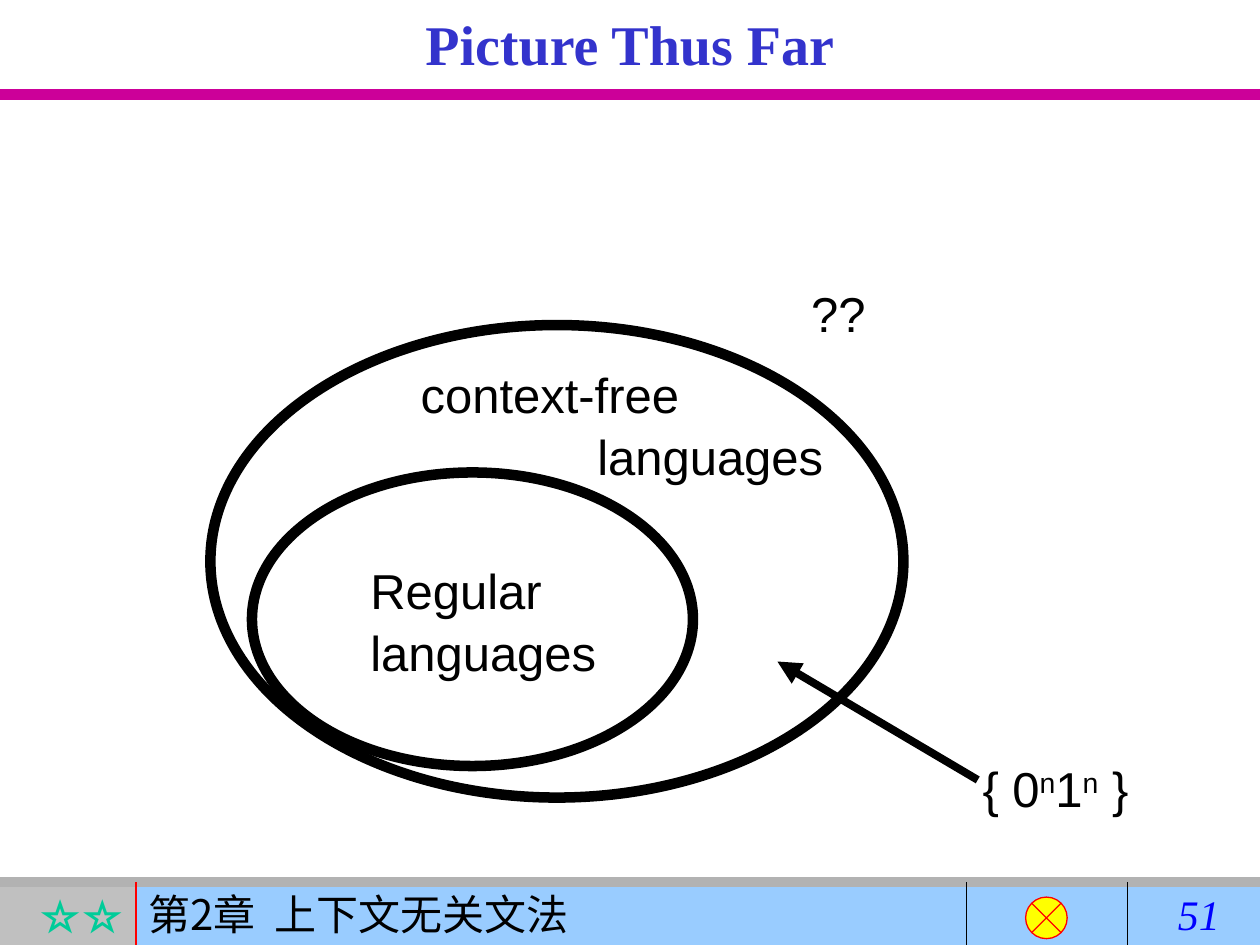
from lxml import etree
from pptx import Presentation
from pptx.dml.color import RGBColor
from pptx.enum.shapes import MSO_CONNECTOR, MSO_SHAPE
from pptx.enum.text import MSO_ANCHOR, PP_ALIGN
from pptx.oxml.ns import qn
from pptx.util import Inches, Pt

STRAIGHT = MSO_CONNECTOR.STRAIGHT
RECT, OVAL = MSO_SHAPE.RECTANGLE, MSO_SHAPE.OVAL
JUNCTION = MSO_SHAPE.FLOWCHART_SUMMING_JUNCTION
LEFT, CENTER, RIGHT = PP_ALIGN.LEFT, PP_ALIGN.CENTER, PP_ALIGN.RIGHT
TOP, MIDDLE = MSO_ANCHOR.TOP, MSO_ANCHOR.MIDDLE

COLORS = {
    "black": "000000", "white": "FFFFFF", "title": "3333CC",
    "rule": "CC0099", "footer_rule": "B2B2B2", "grey": "C0C0C0",
    "sky": "99CCFF", "star": "00CC99", "red": "FF0000",
    "yellow": "FFFF00", "number": "0000FF",
}
SERIF, SANS, CHINESE = "Times New Roman", "Arial", "Noto Sans CJK SC"


def color(name):
    return RGBColor.from_string(COLORS[name])


def add_line(page, start, end, name, weight, arrow=False):
    points = [Inches(value) for value in (*start, *end)]
    line = page.shapes.add_connector(STRAIGHT, *points)
    line.line.color.rgb = color(name)
    line.line.width = Pt(weight)
    if arrow:
        head = etree.SubElement(line.line._get_or_add_ln(), qn("a:headEnd"))
        head.set("type", "triangle")
    etree.SubElement(line._element.spPr, qn("a:effectLst"))


def add_figure(page, kind, box, fill=None, outline=None, weight=0.75):
    figure = page.shapes.add_shape(kind, *[Inches(value) for value in box])
    figure.shadow.inherit = False
    if fill:
        figure.fill.solid()
        figure.fill.fore_color.rgb = color(fill)
    else:
        figure.fill.background()
    if outline:
        figure.line.color.rgb = color(outline)
        figure.line.width = Pt(weight)
    else:
        figure.line.fill.background()
    return figure


def add_text_box(page, box):
    return page.shapes.add_textbox(*[Inches(value) for value in box])


def add_span(para, text, font, size, name, bold=False, italic=False):
    span = para.add_run()
    span.text = text
    span.font.name = font
    span.font.size = Pt(size)
    span.font.bold = bold
    span.font.italic = italic
    span.font.color.rgb = color(name)
    props = span.font._element
    etree.SubElement(props, qn("a:ea")).set("typeface", font)
    return props


def first_para(shape, align=LEFT, anchor=MIDDLE, wrap=True):
    frame = shape.text_frame
    frame.word_wrap = wrap
    frame.vertical_anchor = anchor
    para = frame.paragraphs[0]
    para.alignment = align
    return para


def add_label(page, box, lines, wrap=False):
    """Each line is an alignment and a list of (text, baseline) spans."""
    label = add_text_box(page, box)
    para = first_para(label, anchor=TOP, wrap=wrap)
    for index, (align, spans) in enumerate(lines):
        if index:
            para = label.text_frame.add_paragraph()
        para.alignment = align
        para.line_spacing = 1.05
        for text, baseline in spans:
            props = add_span(para, text, SANS, 28, "black")
            if baseline:
                props.set("baseline", str(baseline * 1000))


def add_header(page, left, top, width, height):
    add_line(page, (left, top + height), (left + width, top + height), "rule", 6)
    title = add_figure(page, RECT, (left + 0.5, top, width - 1, 0.68), "white")
    add_span(first_para(title, CENTER), "Picture Thus Far", SERIF, 32, "title", bold=True)


def add_footer(page, left, top, width, height):
    split = 1.08
    # Stars and chapter name
    stars = add_figure(page, RECT, (left, top, split, height), "grey")
    add_span(first_para(stars, RIGHT), "☆☆", SERIF, 24, "star", bold=True)
    chapter = add_figure(page, RECT, (left + split, top, width - split, height), "sky")
    para = first_para(chapter)
    add_span(para, "第2章", CHINESE, 24, "black")
    add_span(para, " ", CHINESE, 24, "black").set("spc", "540")
    add_span(para, "上下文无关文法", CHINESE, 24, "black")
    # Rules
    add_line(page, (left, top), (left + width, top), "footer_rule", 6)
    for offset, name in ((split, "red"), (7.67, "black"), (8.95, "black")):
        x = left + offset
        add_line(page, (x, top), (x, top + height), name, 0.75)
    # Marker and page number
    add_figure(page, JUNCTION, (left + 8.14, top + 0.12, 0.33, 0.33), "yellow", "red")
    number = add_text_box(page, (left + 9.25, top, 0.75, height))
    add_span(first_para(number), "51", SERIF, 24, "number", italic=True)


def add_language_diagram(page, left, top, width, height):
    # Nested language classes
    add_figure(page, OVAL, (left + 0.33, top + 1.17, 3.5, 2.33), outline="black", weight=6)
    add_figure(page, OVAL, (left, top, width, height), outline="black", weight=6)
    add_label(page, (left + 1.17, top + 1.8, 1.99, 1.04),
              [(LEFT, [("Regular", 0)]), (LEFT, [("languages", 0)])])
    add_label(page, (left + 1.57, top + 0.24, 3.39, 1.04),
              [(LEFT, [("context-free", 0)]), (RIGHT, [("languages", 0)])], wrap=True)
    add_label(page, (left + 4.67, top - 0.4, 0.63, 0.57), [(LEFT, [("??", 0)])])
    # Example language
    add_line(page, (left + 4.5, top + 2.67), (left + 6.09, top + 3.61), "black", 4.5, arrow=True)
    add_label(page, (left + 6.03, top + 3.37, 1.36, 0.57),
              [(LEFT, [("{ 0", 0), ("n", 30), ("1", 0), ("n", 30), (" }", 0)])])


def main():
    deck = Presentation()
    deck.slide_width, deck.slide_height = Inches(10), Inches(7.5)
    page = deck.slides.add_slide(deck.slide_layouts[6])
    add_footer(page, 0, 7, 10, 0.5)
    add_header(page, 0, 0, 10, 0.75)
    add_language_diagram(page, 1.67, 2.58, 5.5, 3.75)
    deck.save("out.pptx")


if __name__ == "__main__":
    main()
